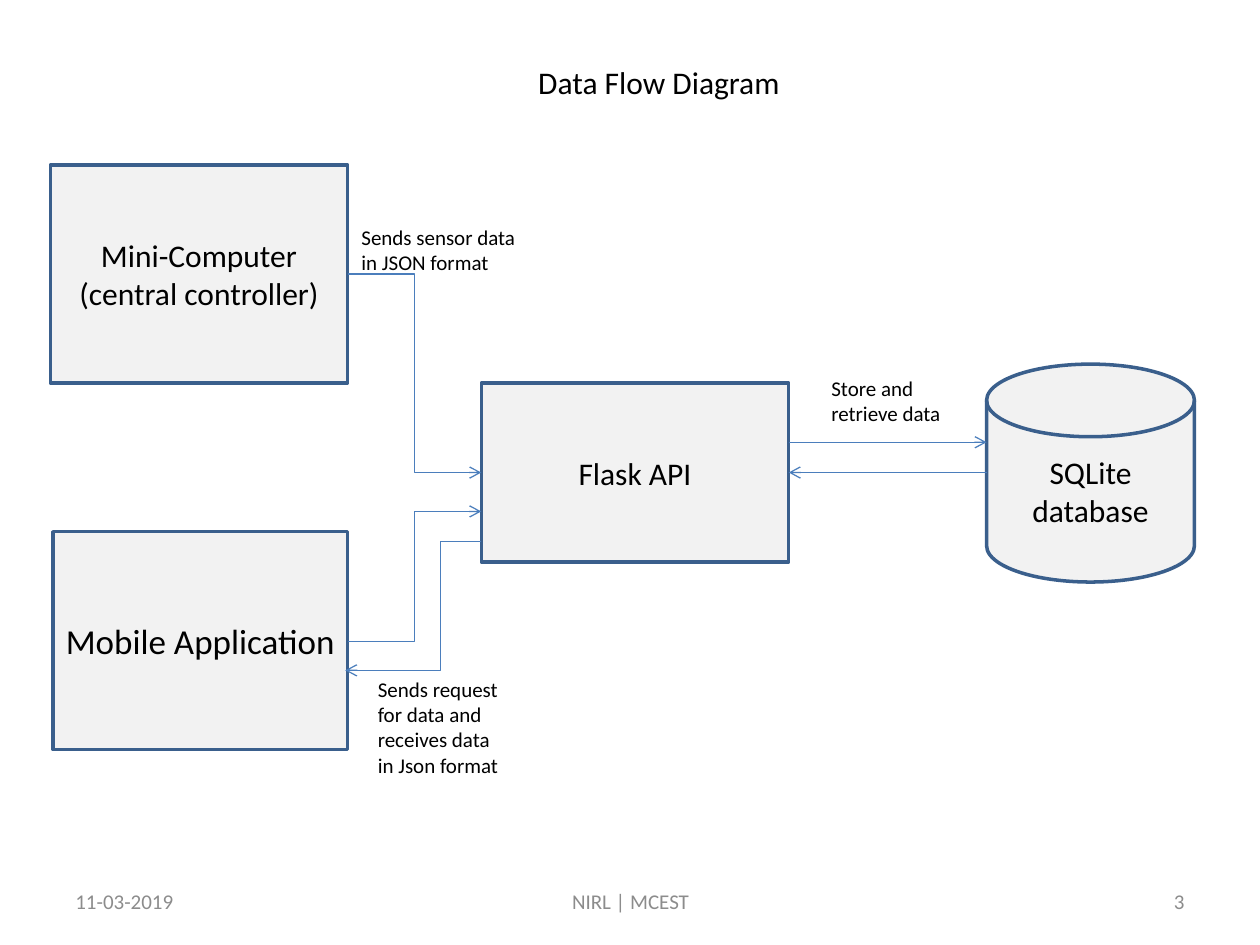
from dataclasses import dataclass
from typing import Optional

from lxml import etree
from pptx import Presentation
from pptx.dml.color import RGBColor
from pptx.enum.shapes import MSO_CONNECTOR, MSO_SHAPE
from pptx.enum.text import MSO_ANCHOR, MSO_AUTO_SIZE, PP_ALIGN
from pptx.oxml.ns import qn
from pptx.util import Inches, Pt

RECT, DISK = MSO_SHAPE.RECTANGLE, MSO_SHAPE.FLOWCHART_MAGNETIC_DISK
STRAIGHT, ELBOW = MSO_CONNECTOR.STRAIGHT, MSO_CONNECTOR.ELBOW
LEFT, CENTER, RIGHT = PP_ALIGN.LEFT, PP_ALIGN.CENTER, PP_ALIGN.RIGHT
TOP, MIDDLE = MSO_ANCHOR.TOP, MSO_ANCHOR.MIDDLE
SIDE_LEFT, SIDE_RIGHT = 1, 3

# Grid of 100 columns and 75 rows with square cells
COLS, ROWS = 100, 75
CELL = Inches(0.1)


@dataclass(frozen=True)
class Theme:
    font: str = "Calibri"
    text: RGBColor = RGBColor(0, 0, 0)
    muted: RGBColor = RGBColor(0x8C, 0x8C, 0x8C)
    fill: RGBColor = RGBColor(0xF2, 0xF2, 0xF2)
    border: RGBColor = RGBColor(0x3A, 0x5F, 0x8C)
    flow: RGBColor = RGBColor(0x4B, 0x7E, 0xBC)
    large: int = 20
    body: int = 18
    small: int = 12
    border_width: float = 2
    flow_width: float = 0.75


@dataclass(frozen=True)
class Box:
    col: float
    row: float
    cols: float
    rows: float

    def emu(self) -> tuple:
        return tuple(grid(v) for v in (self.col, self.row, self.cols, self.rows))


@dataclass(frozen=True)
class Node:
    name: str
    text: str
    box: Box
    shape: int = RECT
    size: int = Theme.body


@dataclass(frozen=True)
class Label:
    text: str
    box: Box
    align: int = LEFT
    anchor: int = TOP
    color: RGBColor = Theme.text


@dataclass(frozen=True)
class Flow:
    kind: int
    start: tuple
    end: tuple
    source: Optional[str] = None
    target: Optional[str] = None
    bend: Optional[float] = None


THEME = Theme()

NODES = [
    Node("controller", "Mini-Computer\n(central controller)", Box(4, 13.1, 23.6, 17.3)),
    Node("api", "Flask API", Box(38.2, 30.4, 24.4, 14.2)),
    Node("database", "SQLite database", Box(78.3, 28.9, 16.5, 17.3), DISK),
    Node("mobile", "Mobile Application", Box(4.2, 42.2, 23.4, 17.3), size=THEME.large),
]

FLOWS = [
    Flow(STRAIGHT, (62.6, 35.1), (78.3, 35.1)),
    Flow(STRAIGHT, (78.3, 37.5), (62.6, 37.5), target="api"),
    Flow(ELBOW, (27.6, 21.75), (38.2, 37.5), source="controller", target="api"),
    Flow(ELBOW, (27.6, 50.9), (38.2, 40.6)),
    Flow(ELBOW, (38.2, 43), (27.4, 53.2), bend=0.3),
]

FOOTER_ROW, FOOTER_ROWS = 69.5, 4
LABELS = [
    Label("Sends sensor data in JSON format", Box(27.7, 17.3, 15.2, 5)),
    Label("Sends request for data and receives data in Json format",
          Box(29, 53.2, 11.8, 9.1)),
    Label("Store and retrieve data", Box(65, 29.3, 11, 5)),
    Label("11-03-2019", Box(5, FOOTER_ROW, 23.3, FOOTER_ROWS), LEFT, MIDDLE, THEME.muted),
    Label("NIRL | MCEST", Box(34.2, FOOTER_ROW, 31.7, FOOTER_ROWS), CENTER, MIDDLE, THEME.muted),
    Label("3", Box(71.7, FOOTER_ROW, 23.3, FOOTER_ROWS), RIGHT, MIDDLE, THEME.muted),
]


def grid(cells: float) -> int:
    return round(cells * CELL)


def write(tf, text: str, *, size: float, color=THEME.text, align=LEFT, anchor=TOP) -> None:
    tf.word_wrap = True
    tf.auto_size = MSO_AUTO_SIZE.NONE
    tf.vertical_anchor = anchor
    for i, line in enumerate(text.split("\n")):
        p = tf.paragraphs[0] if i == 0 else tf.add_paragraph()
        p.alignment = align
        r = p.add_run()
        r.text = line
        r.font.name = THEME.font
        r.font.size = Pt(size)
        r.font.color.rgb = color


def add_title(s, text: str, box: Box) -> None:
    sp = s.shapes.title
    sp.left, sp.top, sp.width, sp.height = box.emu()
    write(sp.text_frame, text, size=THEME.body, align=CENTER)


def add_node(s, node: Node):
    sp = s.shapes.add_shape(node.shape, *node.box.emu())
    sp.shadow.inherit = False
    sp.fill.solid()
    sp.fill.fore_color.rgb = THEME.fill
    sp.line.color.rgb = THEME.border
    sp.line.width = Pt(THEME.border_width)
    tf = sp.text_frame
    tf.margin_left = tf.margin_right = Inches(0.05)
    write(tf, node.text, size=node.size, align=CENTER, anchor=MIDDLE)
    return sp


def add_label(s, label: Label) -> None:
    sp = s.shapes.add_textbox(*label.box.emu())
    write(sp.text_frame, label.text, size=THEME.small, color=label.color,
          align=label.align, anchor=label.anchor)


def add_flow(s, flow: Flow, nodes: dict) -> None:
    ends = [grid(v) for v in flow.start + flow.end]
    cxn = s.shapes.add_connector(flow.kind, *ends)
    if flow.source:
        cxn.begin_connect(nodes[flow.source], SIDE_RIGHT)
    if flow.target:
        side = SIDE_LEFT if flow.start[0] < flow.end[0] else SIDE_RIGHT
        cxn.end_connect(nodes[flow.target], side)
    cxn.line.color.rgb = THEME.flow
    cxn.line.width = Pt(THEME.flow_width)

    # Open arrowhead, no shadow, and the place of the bend
    sp_pr = cxn.line._get_or_add_ln().getparent()
    etree.SubElement(sp_pr.find(qn("a:ln")), qn("a:tailEnd"), type="arrow")
    etree.SubElement(sp_pr, qn("a:effectLst"))
    if flow.bend is not None:
        guides = sp_pr.find(qn("a:prstGeom")).find(qn("a:avLst"))
        etree.SubElement(guides, qn("a:gd"), name="adj1",
                         fmla=f"val {round(flow.bend * 100000)}")


def main() -> None:
    prs = Presentation()
    prs.slide_width, prs.slide_height = grid(COLS), grid(ROWS)
    s = prs.slides.add_slide(prs.slide_layouts[5])

    # Title, nodes, flows between them, then labels and footer
    add_title(s, "Data Flow Diagram", Box(22.4, 4.5, 59.8, 4))
    nodes = {node.name: add_node(s, node) for node in NODES}
    for flow in FLOWS:
        add_flow(s, flow, nodes)
    for label in LABELS:
        add_label(s, label)

    prs.save("out.pptx")


if __name__ == "__main__":
    main()
